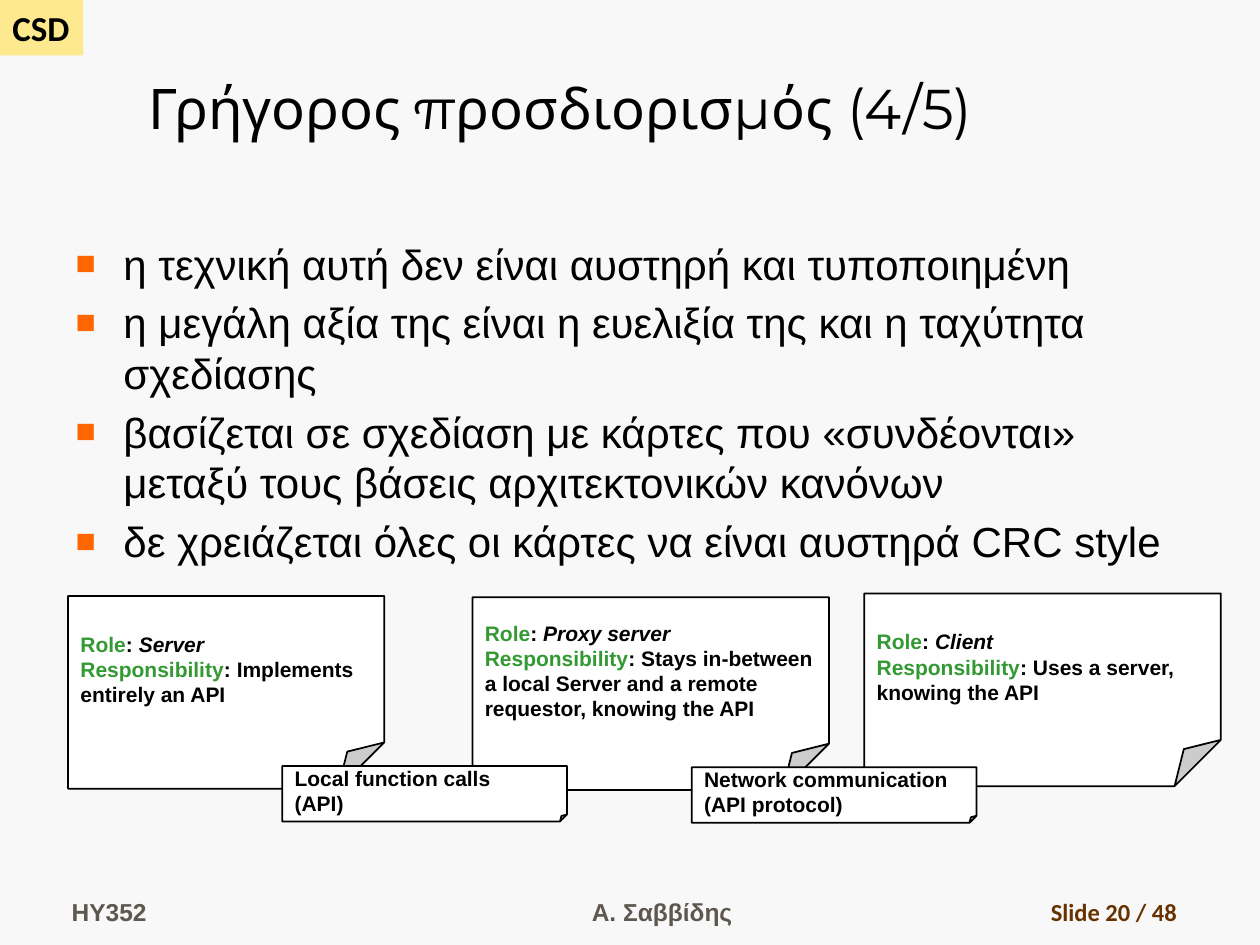
from lxml.etree import SubElement as Sub
from pptx import Presentation
from pptx.dml.color import RGBColor as RGB
from pptx.enum.shapes import MSO_SHAPE as Kind
from pptx.enum.text import MSO_ANCHOR as Anchor, MSO_AUTO_SIZE as Auto, PP_ALIGN as Align
from pptx.oxml.ns import qn
from pptx.util import Inches, Pt

# Content
TITLE = "Γρήγορος προσδιορισμός (4/5)"
POINTS = [
    "η τεχνική αυτή δεν είναι αυστηρή και τυποποιημένη",
    "η μεγάλη αξία της είναι η ευελιξία της και η ταχύτητα σχεδίασης",
    "βασίζεται σε σχεδίαση με κάρτες που «συνδέονται» μεταξύ τους βάσεις αρχιτεκτονικών κανόνων",
    "δε χρειάζεται όλες οι κάρτες να είναι αυστηρά CRC style",
]
# Left, top, width, role, lines of the responsibility
CARDS = [
    (0.54, 4.73, 2.51, "Server", ["Implements", "entirely an API"]),
    (3.75, 4.74, 2.83, "Proxy server",
     ["Stays in-between", "a local Server and a remote", "requestor, knowing the API"]),
    (6.86, 4.71, 2.83, "Client", ["Uses a server,", "knowing the API"]),
]
# Left, top, lines
LINKS = [
    (2.24, 6.08, ["Local function calls", "(API)"]),
    (5.49, 6.09, ["Network communication", "(API protocol)"]),
]
# Left, width, text, alignment, font, colour
FOOT = [
    (0.47, 2.19, "HY352", Align.LEFT, "Arial", "gray"),
    (3.67, 3.17, "Α. Σαββίδης", Align.CENTER, "Arial", "gray"),
    (7.36, 2.08, "Slide 20 / 48", Align.RIGHT, "Calibri", "brown"),
]
HUES = {
    "back": "F8F8F8", "tag": "FFE98F", "text": "000000", "card": "FFFFFF",
    "key": "339933", "mark": "FF6600", "gray": "5E574E", "brown": "663300",
}


def hue(name):
    return RGB.from_string(HUES[name])


def box(*at):
    return [Inches(n) for n in at]


def place(shape, *at):
    shape.left, shape.top, shape.width, shape.height = box(*at)


def add_run(para, text, size, font="Arial", color="text", bold=True, slant=False):
    run = para.add_run()
    run.text = text
    face = run.font
    face.size, face.name, face.bold, face.italic = Pt(size), font, bold, slant
    face.color.rgb = hue(color)


def fill_text(frame, lines, align=Align.LEFT):
    """Write each line, a list of (text, options), as one paragraph."""
    for i, line in enumerate(lines):
        para = frame.add_paragraph() if i else frame.paragraphs[0]
        para.alignment = align
        for text, opts in line:
            add_run(para, text, **opts)


def add_shape(slide, kind, at, fill, line=None):
    shape = slide.shapes.add_shape(kind, *box(*at))
    shape.shadow.inherit = False
    shape.fill.solid()
    shape.fill.fore_color.rgb = hue(fill)
    if line:
        shape.line.color.rgb = hue(line)
        shape.line.width = Pt(1)
    else:
        shape.line.fill.background()
    return shape


def set_fold(note, part):
    """Set the corner's size as a thousandth-percent guide."""
    geom = note._element.spPr.find(qn("a:prstGeom"))
    guides = geom.find(qn("a:avLst"))
    if guides is None:
        guides = Sub(geom, qn("a:avLst"))
    guide = Sub(guides, qn("a:gd"))
    guide.set("name", "adj")
    guide.set("fmla", f"val {round(part * 100000)}")


def add_note(slide, at, fold, lines, wrap):
    note = add_shape(slide, Kind.FOLDED_CORNER, at, "card", "text")
    set_fold(note, fold)
    frame = note.text_frame
    frame.word_wrap = wrap
    frame.vertical_anchor = Anchor.MIDDLE
    fill_text(frame, lines)


def add_mark(para):
    """Give the paragraph a small square bullet with a hanging indent."""
    props = para._p.get_or_add_pPr()
    props.set("marL", str(Inches(0.38)))
    props.set("indent", str(Inches(-0.38)))
    Sub(Sub(props, qn("a:buClr")), qn("a:srgbClr")).set("val", HUES["mark"])
    Sub(props, qn("a:buSzPct")).set("val", "80000")
    Sub(props, qn("a:buFont")).set("typeface", "Arial")
    Sub(props, qn("a:buChar")).set("char", "■")


def main():
    deck = Presentation()
    deck.slide_width, deck.slide_height = box(10, 7.5)
    slide = deck.slides.add_slide(deck.slide_layouts[1])
    slide.background.fill.solid()
    slide.background.fill.fore_color.rgb = hue("back")

    # Corner tag
    tag = add_shape(slide, Kind.RECTANGLE, (0, 0, 0.66, 0.44), "tag")
    tag.text_frame.word_wrap = False
    fill_text(tag.text_frame, [[("CSD", dict(size=20, font="Calibri"))]])

    # Title
    title = slide.shapes.title
    place(title, 1.08, 0.17, 8.92, 1)
    frame = title.text_frame
    frame.auto_size = Auto.NONE
    frame.vertical_anchor = Anchor.BOTTOM
    fill_text(frame, [[(TITLE, dict(size=32, font="Montserrat", bold=False))]])

    # Bullet list
    body = slide.placeholders[1]
    place(body, 0.5, 1.84, 9.08, 2.75)
    frame = body.text_frame
    frame.auto_size = Auto.NONE
    fill_text(frame, [[(text, dict(size=24, bold=False))] for text in POINTS])
    for para in frame.paragraphs:
        add_mark(para)

    # Role cards
    plain, key = dict(size=12), dict(size=12, color="key")
    for left, top, width, role, (first, *rest) in CARDS:
        lines = [
            [("Role", key), (": ", plain), (role, dict(size=12, slant=True))],
            [("Responsibility", key), (": " + first, plain)],
        ] + [[(text, plain)] for text in rest]
        add_note(slide, (left, top, width, 1.53), 0.24, lines, False)

    # Links between the cards
    for left, top, lines in LINKS:
        add_note(slide, (left, top, 2.26, 0.44), 0.125,
                 [[(text, plain)] for text in lines], True)

    # Footer
    for left, width, text, align, font, color in FOOT:
        frame = slide.shapes.add_textbox(*box(left, 6.9, width, 0.5)).text_frame
        frame.word_wrap = True
        frame.vertical_anchor = Anchor.BOTTOM
        fill_text(frame, [[(text, dict(size=14, font=font, color=color))]], align)

    deck.save("out.pptx")


if __name__ == "__main__":
    main()
